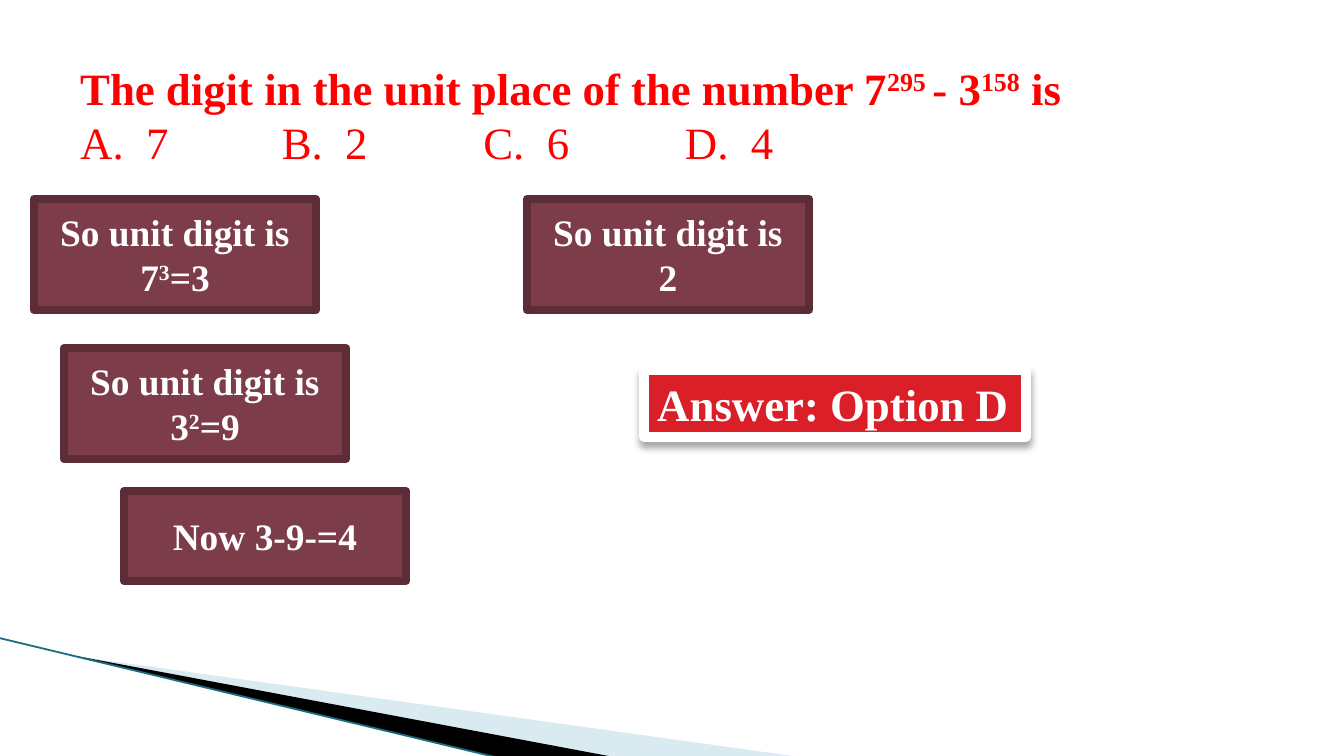
from lxml import etree
from pptx import Presentation
from pptx.dml.color import RGBColor
from pptx.enum.shapes import MSO_CONNECTOR, MSO_SHAPE
from pptx.enum.text import MSO_ANCHOR, PP_ALIGN
from pptx.oxml.ns import qn
from pptx.util import Emu, Pt

PX = 914400 / 134.4
FONT = "Times New Roman"
RED = RGBColor(0xFF, 0x00, 0x00)
WHITE = RGBColor(0xFF, 0xFF, 0xFF)
BLACK = RGBColor(0x00, 0x00, 0x00)
PLUM = RGBColor(0x7D, 0x3C, 0x4A)
DARK_PLUM = RGBColor(0x5C, 0x2C, 0x37)
CRIMSON = RGBColor(0xDA, 0x1F, 0x28)
PALE_BLUE = RGBColor(0xA0, 0xCB, 0xDC)
TEAL = RGBColor(0x1B, 0x6E, 0x82)
RECT, STRAIGHT = MSO_SHAPE.RECTANGLE, MSO_CONNECTOR.STRAIGHT
MIDDLE, TOP = MSO_ANCHOR.MIDDLE, MSO_ANCHOR.TOP
CENTER, LEFT = PP_ALIGN.CENTER, PP_ALIGN.LEFT


def px(*values):
    return [Emu(round(v * PX)) for v in values]


class SlideBuilder:
    def __init__(self, slide):
        self.slide = slide

    def add_text(self, p, text, size, color, bold=True):
        """Add text to a paragraph; parts between ^ marks are superscript."""
        for i, part in enumerate(text.split("^")):
            if not part:
                continue
            r = p.add_run()
            r.text = part
            r.font.name, r.font.size, r.font.bold = FONT, Pt(size), bold
            r.font.color.rgb = color
            if i % 2:
                r.font._element.set("baseline", "30000")

    def polygon(self, points, color, alpha=None):
        builder = self.slide.shapes.build_freeform(*points[0], scale=PX)
        builder.add_line_segments(points[1:], close=True)
        sp = builder.convert_to_shape()
        sp.shadow.inherit = False
        sp.fill.solid()
        sp.fill.fore_color.rgb = color
        sp.line.fill.background()
        if alpha:
            clr = sp._element.spPr.find(".//" + qn("a:srgbClr"))
            etree.SubElement(clr, qn("a:alpha"), val=str(alpha * 1000))

    def line(self, x1, y1, x2, y2, color, width):
        cxn = self.slide.shapes.add_connector(STRAIGHT, *px(x1, y1, x2, y2))
        cxn.line.color.rgb = color
        cxn.line.width = Pt(width)
        etree.SubElement(cxn._element.spPr, qn("a:effectLst"))

    def question(self, x, y, w, h, title, options):
        tf = self.slide.shapes.add_textbox(*px(x, y, w, h)).text_frame
        tf.word_wrap = True
        p = tf.paragraphs[0]
        self.add_text(p, title, 24, RED)
        p.add_line_break()
        self.add_text(p, options, 24, RED, bold=False)

    def box(self, x, y, w, h, text, size=20, fill=PLUM, border=DARK_PLUM,
            width=4.33, wrap=True, anchor=MIDDLE, align=CENTER):
        sp = self.slide.shapes.add_shape(RECT, *px(x, y, w, h))
        sp.shadow.inherit = False
        sp.fill.solid()
        sp.fill.fore_color.rgb = fill
        sp.line.color.rgb = border
        sp.line.width = Pt(width)
        tf = sp.text_frame
        tf.word_wrap, tf.vertical_anchor = wrap, anchor
        p = tf.paragraphs[0]
        p.alignment = align
        self.add_text(p, text, size, WHITE)
        return sp

    def drop_shadow(self, sp, blur, dist, alpha):
        effects = sp._element.spPr.find(qn("a:effectLst"))
        shadow = etree.SubElement(
            effects, qn("a:outerShdw"), blurRad=str(Pt(blur)),
            dist=str(Pt(dist)), dir="5400000", rotWithShape="0")
        clr = etree.SubElement(shadow, qn("a:srgbClr"), val=str(BLACK))
        etree.SubElement(clr, qn("a:alpha"), val=str(alpha * 1000))


def main():
    prs = Presentation()
    prs.slide_width, prs.slide_height = px(1344, 756)
    s = SlideBuilder(prs.slides.add_slide(prs.slide_layouts[6]))

    # Corner decoration
    s.polygon([(74, 656), (800, 757), (613, 757)], PALE_BLUE, alpha=40)
    s.polygon([(71, 655), (614, 757), (500, 758), (73, 656)], BLACK)
    s.line(-1, 638, 499, 758, TEAL, 0.95)

    # Question and options
    s.question(67, 54, 1153, 122,
               "The digit in the unit place of the number 7^295 ^- 3^158^ is",
               "A.  7\t\tB.  2\t\tC.  6\t\tD.  4")

    # Solution steps
    for x, y, h, text in [
        (34, 199, 111, "So unit digit is 7^3^=3"),
        (64, 348, 111, "So unit digit is 3^2^=9"),
        (124, 491, 90, "Now 3-9-=4"),
        (527, 199, 111, "So unit digit is 2"),
    ]:
        s.box(x, y, 282, h, text)

    # Answer
    answer = s.box(644, 370, 382, 67, "Answer: Option D", size=24,
                   fill=CRIMSON, border=WHITE, width=5, wrap=False,
                   anchor=TOP, align=LEFT)
    s.drop_shadow(answer, blur=4, dist=3, alpha=35)

    prs.save("out.pptx")


if __name__ == "__main__":
    main()
